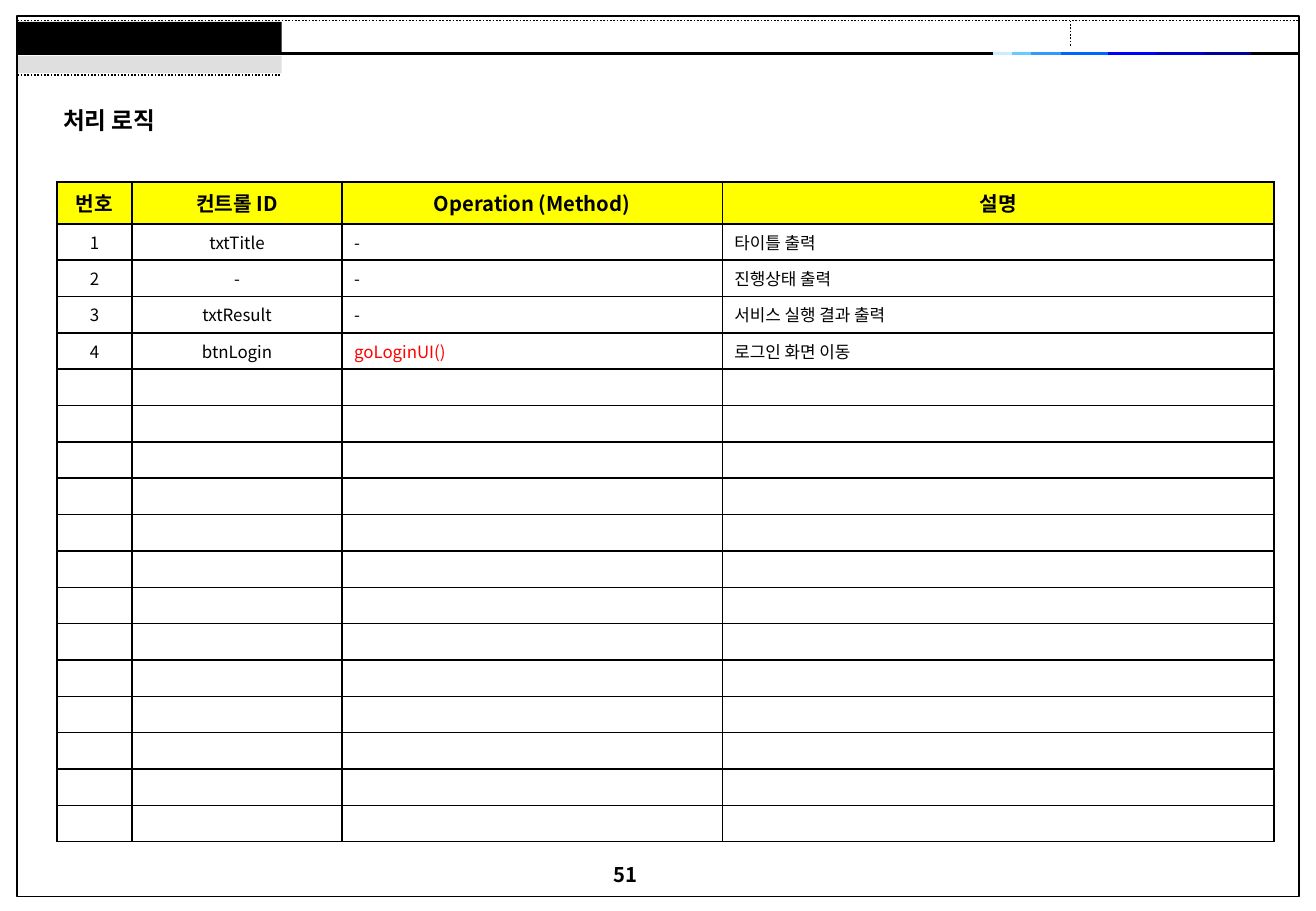
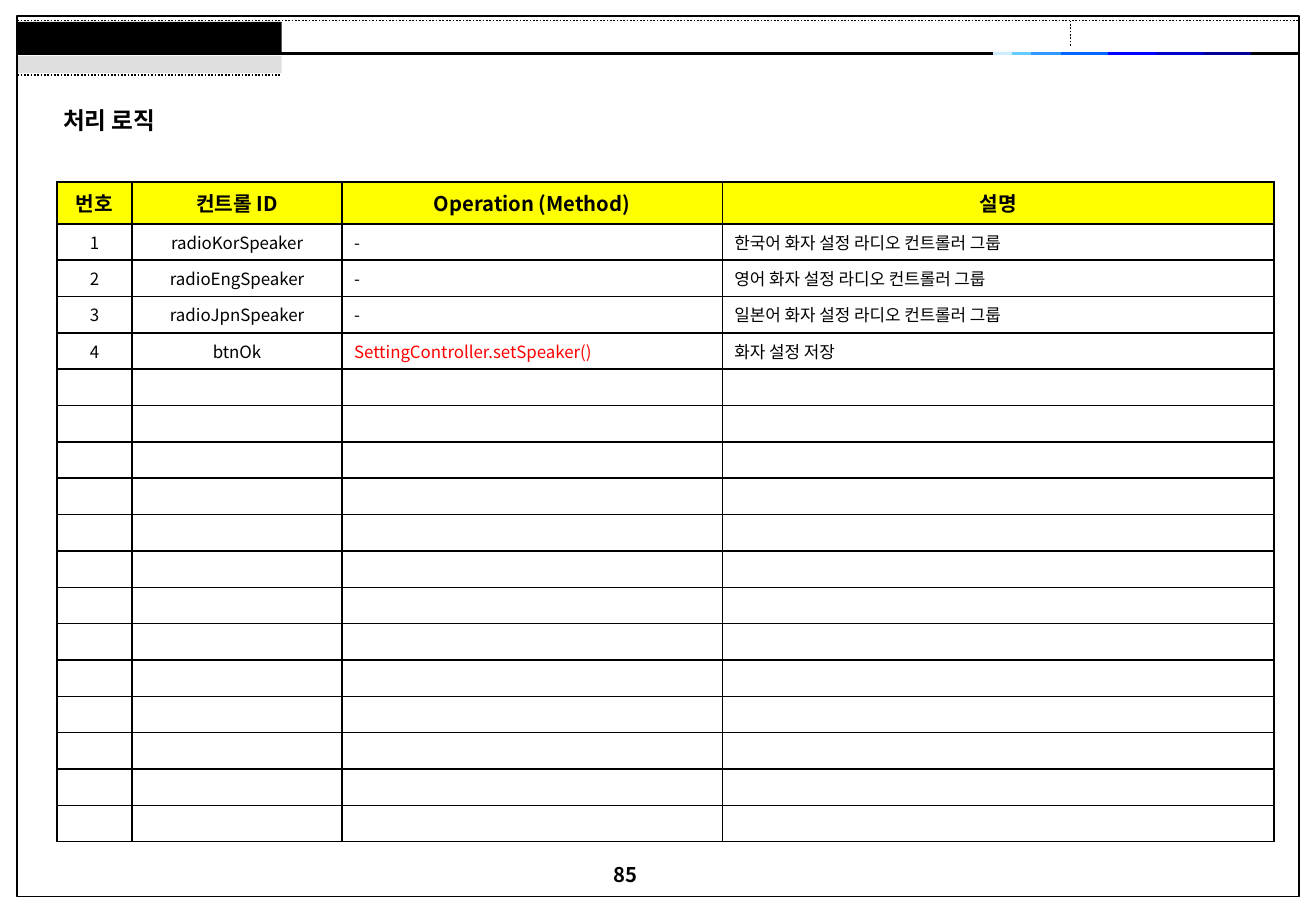
from dataclasses import dataclass
from itertools import pairwise

from lxml.etree import SubElement
from pptx import Presentation
from pptx.dml.color import RGBColor
from pptx.enum.dml import MSO_LINE
from pptx.enum.shapes import MSO_CONNECTOR, MSO_SHAPE
from pptx.enum.text import MSO_ANCHOR as Anchor, PP_ALIGN as Align
from pptx.oxml.ns import qn
from pptx.util import Cm, Pt

FONT = "Noto Sans CJK KR"
COLORS = {
    "ink": "000000",
    "header": "FFFF00",
    "method": "FF0000",
    "tab_shade": "C0C0C0",
}
SPECTRUM = ["CCECFF", "66CCFF", "3399FF", "0066FF", "0000FF", "0000CC", "000099"]
SPECTRUM_STOPS = [20.39, 20.8, 21.2, 21.81, 22.8, 23.8, 24.81, 25.8]

TITLE = "처리 로직"
HEADINGS = ["번호", "컨트롤 ID", "Operation (Method)", "설명"]
COLUMN_WIDTHS = [1.57, 4.39, 7.95, 11.53]
HEADER_HEIGHT, ROW_HEIGHT = 0.87, 0.76
BODY_ROWS = 17

PAGES = [
    (51, [
        ("txtTitle", "-", "타이틀 출력"),
        ("-", "-", "진행상태 출력"),
        ("txtResult", "-", "서비스 실행 결과 출력"),
        ("btnLogin", "goLoginUI()", "로그인 화면 이동"),
    ]),
    (85, [
        ("radioKorSpeaker", "-", "한국어 화자 설정 라디오 컨트롤러 그룹"),
        ("radioEngSpeaker", "-", "영어 화자 설정 라디오 컨트롤러 그룹"),
        ("radioJpnSpeaker", "-", "일본어 화자 설정 라디오 컨트롤러 그룹"),
        ("btnOk", "SettingController.setSpeaker()", "화자 설정 저장"),
    ]),
]


@dataclass
class Box:
    """A region in centimetres."""
    left: float
    top: float
    width: float
    height: float

    def inner(self, dx, dy, width, height):
        return Box(self.left + dx, self.top + dy, width, height)

    def lengths(self):
        return [Cm(v) for v in (self.left, self.top, self.width, self.height)]


FRAME = Box(0.36, 0.33, 26.8, 18.42)
TITLE_BOX = Box(1.07, 2.08, 5.1, 0.86)
TABLE_BOX = Box(1.19, 3.81, sum(COLUMN_WIDTHS),
                HEADER_HEIGHT + BODY_ROWS * ROW_HEIGHT)
NUMBER_BOX = Box(12.57, 17.91, 2.39, 1.12)


def rgb(color):
    return RGBColor.from_string(color)


def style_paragraph(paragraph, size, bold=False, color=COLORS["ink"]):
    for run in paragraph.runs:
        run.font.size, run.font.bold, run.font.name = Pt(size), bold, FONT
        run.font.color.rgb = rgb(color)
        SubElement(run.font._element, qn("a:ea"), typeface=FONT)
    if not paragraph.runs:
        # The end mark sets the height of an empty line.
        end_mark = SubElement(paragraph._p, qn("a:endParaRPr"), sz=str(size * 100))
        for script in ("a:latin", "a:ea"):
            SubElement(end_mark, qn(script), typeface=FONT)


def add_text(slide, box, text, size, anchor):
    frame = slide.shapes.add_textbox(*box.lengths()).text_frame
    frame.word_wrap = True
    frame.vertical_anchor = anchor
    frame.text = text
    style_paragraph(frame.paragraphs[0], size, bold=True)


def add_rule(slide, box, start, end, color=COLORS["ink"], width=2.25, dash=None):
    """Draw a line between two points given relative to the box."""
    ends = [Cm(origin + offset) for point in (start, end)
            for origin, offset in zip((box.left, box.top), point)]
    rule = slide.shapes.add_connector(MSO_CONNECTOR.STRAIGHT, *ends)
    rule.line.color.rgb = rgb(color)
    rule.line.width = Pt(width)
    if dash:
        rule.line.dash_style = dash
    SubElement(rule._element.spPr, qn("a:effectLst"))


def add_rect(slide, box, fill=None, opacity=100):
    """Draw a filled rectangle, or an outlined one when there is no fill."""
    rect = slide.shapes.add_shape(MSO_SHAPE.RECTANGLE, *box.lengths())
    rect.shadow.inherit = False
    if fill:
        rect.fill.solid()
        rect.fill.fore_color.rgb = rgb(fill)
        rect.line.fill.background()
        if opacity < 100:
            fill_color = rect._element.spPr.find(".//" + qn("a:srgbClr"))
            SubElement(fill_color, qn("a:alpha"), val=str(opacity * 1000))
    else:
        rect.fill.background()
        rect.line.color.rgb = rgb(COLORS["ink"])
        rect.line.width = Pt(1)


def draw_page_frame(slide, box):
    band_y, dots_y, tab_width = 0.79, 0.1, 5.51
    dotted = {"width": 1, "dash": MSO_LINE.ROUND_DOT}
    add_rect(slide, box)
    add_rule(slide, box, (0, band_y), (box.width, band_y))
    add_rule(slide, box, (0, dots_y), (box.width, dots_y), **dotted)
    for (start, end), color in zip(pairwise(SPECTRUM_STOPS), SPECTRUM):
        add_rule(slide, box, (start, band_y), (end, band_y), color)
    add_rule(slide, box, (22.02, dots_y), (22.02, 0.64), **dotted)
    add_rect(slide, box.inner(0.02, 0.13, tab_width, 0.64), COLORS["ink"])
    add_rect(slide, box.inner(0.02, 0.84, tab_width, 0.36),
             COLORS["tab_shade"], opacity=50)
    add_rule(slide, box, (0, 1.24), (tab_width, 1.24), **dotted)


def add_borders(cell):
    properties = cell._tc.get_or_add_tcPr()
    for side in ("a:lnL", "a:lnR", "a:lnT", "a:lnB"):
        border = SubElement(properties, qn(side), w=str(Pt(1)))
        fill = SubElement(border, qn("a:solidFill"))
        SubElement(fill, qn("a:srgbClr"), val=COLORS["ink"])


def fill_cell(cell, text, is_header, column):
    add_borders(cell)
    if is_header:
        cell.fill.solid()
        cell.fill.fore_color.rgb = rgb(COLORS["header"])
    else:
        cell.fill.background()
    cell.vertical_anchor = Anchor.MIDDLE
    cell.text_frame.text = text
    paragraph = cell.text_frame.paragraphs[0]
    paragraph.alignment = Align.CENTER if is_header or column < 2 else Align.LEFT
    is_method = column == 2 and text.endswith("()")
    style_paragraph(paragraph, 12 if is_header else 10, is_header,
                    COLORS["method" if is_method else "ink"])


def add_logic_table(slide, box, controls):
    table = slide.shapes.add_table(
        BODY_ROWS + 1, len(HEADINGS), *box.lengths()).table
    table.first_row = table.horz_banding = False
    for column, width in zip(table.columns, COLUMN_WIDTHS):
        column.width = Cm(width)
    numbered = [(str(n), *control) for n, control in enumerate(controls, 1)]
    blanks = [[""] * len(HEADINGS)] * (BODY_ROWS - len(controls))
    for r, texts in enumerate([HEADINGS, *numbered, *blanks]):
        table.rows[r].height = Cm(ROW_HEIGHT if r else HEADER_HEIGHT)
        for c, text in enumerate(texts):
            fill_cell(table.cell(r, c), text, r == 0, c)


def add_logic_slide(deck, page_number, controls):
    slide = deck.slides.add_slide(deck.slide_layouts[6])
    draw_page_frame(slide, FRAME)
    add_text(slide, NUMBER_BOX, str(page_number), 12, Anchor.TOP)
    add_logic_table(slide, TABLE_BOX, controls)
    add_text(slide, TITLE_BOX, TITLE, 14, Anchor.MIDDLE)


def main():
    deck = Presentation()
    deck.slide_width, deck.slide_height = Cm(27.51), Cm(19.05)
    for page_number, controls in PAGES:
        add_logic_slide(deck, page_number, controls)
    deck.save("out.pptx")


if __name__ == "__main__":
    main()
